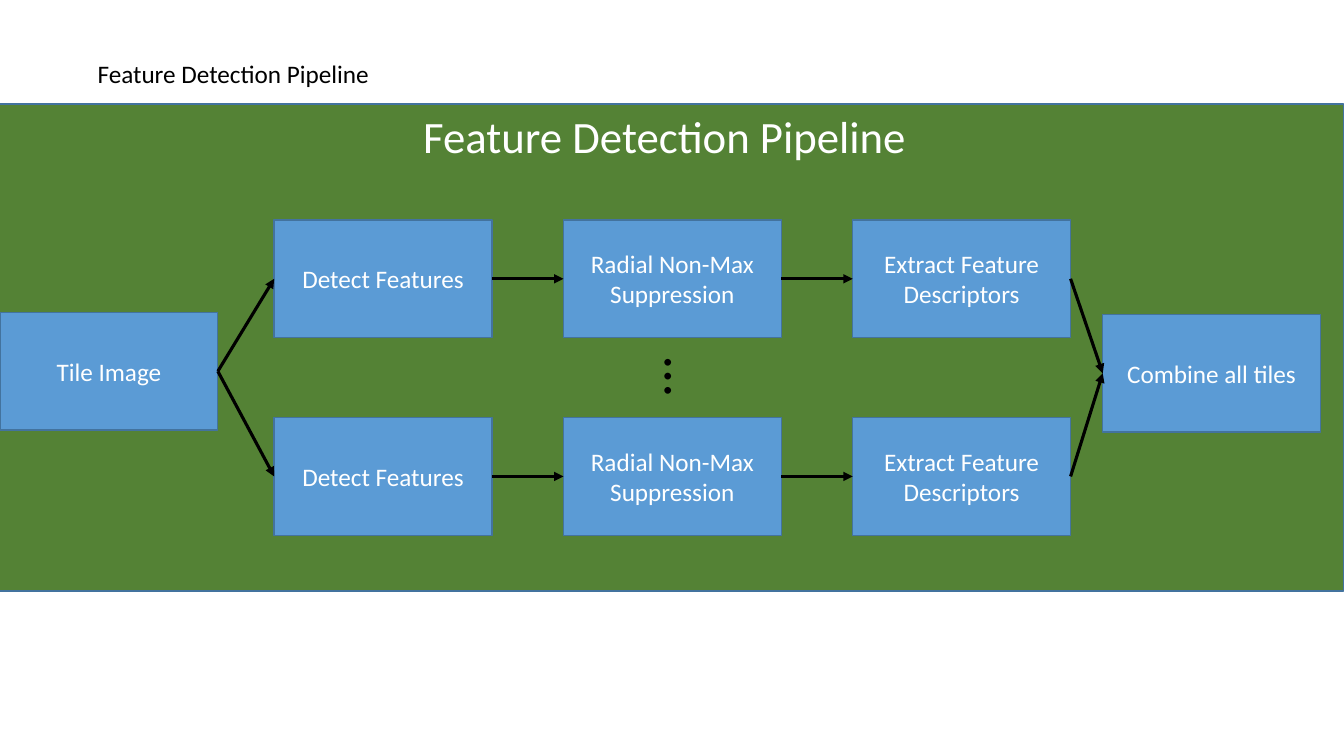
from lxml.etree import SubElement
from pptx import Presentation
from pptx.dml.color import RGBColor
from pptx.enum.shapes import MSO_CONNECTOR, MSO_SHAPE
from pptx.enum.text import MSO_ANCHOR, MSO_AUTO_SIZE, PP_ALIGN
from pptx.oxml.ns import qn
from pptx.util import Cm, Pt

FONT = "Calibri"
BLACK = "000000"
WHITE = "FFFFFF"
GREEN = "548235"
BLUE = "5B9BD5"
OUTLINE = "43739E"

BOX_WIDTH, BOX_HEIGHT = 5.49, 2.97
COLUMN_STEP, ROW_STEP = 7.29, 4.98
LEFT_SITE, RIGHT_SITE = 1, 3
STAGES = ["Detect Features", "Radial Non-Max Suppression", "Extract Feature Descriptors"]


def color(hex_string):
    return RGBColor.from_string(hex_string)


def write(shape, text, size, hex_string, alignment=PP_ALIGN.LEFT):
    shape.text_frame.text = text
    paragraph = shape.text_frame.paragraphs[0]
    paragraph.alignment = alignment
    font = paragraph.runs[0].font
    font.name = FONT
    font.size = Pt(size)
    font.color.rgb = color(hex_string)


def add_label(shapes, left, top, width, height, text, size):
    label = shapes.add_textbox(Cm(left), Cm(top), Cm(width), Cm(height))
    write(label, text, size, BLACK)
    label.text_frame.word_wrap = False
    label.text_frame.auto_size = MSO_AUTO_SIZE.SHAPE_TO_FIT_TEXT
    return label


def add_box(shapes, left, top, width, height, text, fill=BLUE, size=18,
            anchor=MSO_ANCHOR.MIDDLE):
    box = shapes.add_shape(MSO_SHAPE.RECTANGLE, Cm(left), Cm(top), Cm(width), Cm(height))
    box.shadow.inherit = False
    box.fill.solid()
    box.fill.fore_color.rgb = color(fill)
    box.line.color.rgb = color(OUTLINE)
    box.line.width = Pt(1)
    write(box, text, size, WHITE, PP_ALIGN.CENTER)
    box.text_frame.vertical_anchor = anchor
    return box


def add_arrow(shapes, source, target):
    arrow = shapes.add_connector(MSO_CONNECTOR.STRAIGHT, 0, 0, 0, 0)
    arrow.begin_connect(source, RIGHT_SITE)
    arrow.end_connect(target, LEFT_SITE)
    arrow.line.color.rgb = color(BLACK)
    arrow.line.width = Pt(2.25)
    SubElement(arrow.line._get_or_add_ln(), qn("a:tailEnd"), type="triangle")
    SubElement(arrow._element.spPr, qn("a:effectLst"))


def add_pipeline(slide, left, top, width, height):
    shapes = slide.shapes.add_group_shape().shapes
    add_box(shapes, left, top, width, height, "Feature Detection Pipeline",
            GREEN, 32, MSO_ANCHOR.TOP)

    def add_step(x, y, text):
        return add_box(shapes, left + x, top + y, BOX_WIDTH, BOX_HEIGHT, text)

    tile = add_step(0.36, 5.25, "Tile Image")
    rows = [
        [add_step(7.27 + column * COLUMN_STEP, 2.92 + row * ROW_STEP, stage)
         for column, stage in enumerate(STAGES)]
        for row in range(2)
    ]
    combine = add_step(28.15, 5.3, "Combine all tiles")
    dots = add_label(shapes, left + 16.92, top + 5.91, 1.5, 1.96, "…", 40)
    dots.rotation = 90

    for row in rows:
        chain = [tile, *row, combine]
        for source, target in zip(chain, chain[1:]):
            add_arrow(shapes, source, target)


def main():
    presentation = Presentation()
    presentation.slide_width = Cm(33.87)
    presentation.slide_height = Cm(19.05)
    slide = presentation.slides.add_slide(presentation.slide_layouts[6])
    add_label(slide.shapes, 2.21, 1.35, 7.44, 1.02, "Feature Detection Pipeline", 18)
    add_pipeline(slide, -0.36, 2.62, 34.22, 12.27)
    presentation.save("out.pptx")


if __name__ == "__main__":
    main()
